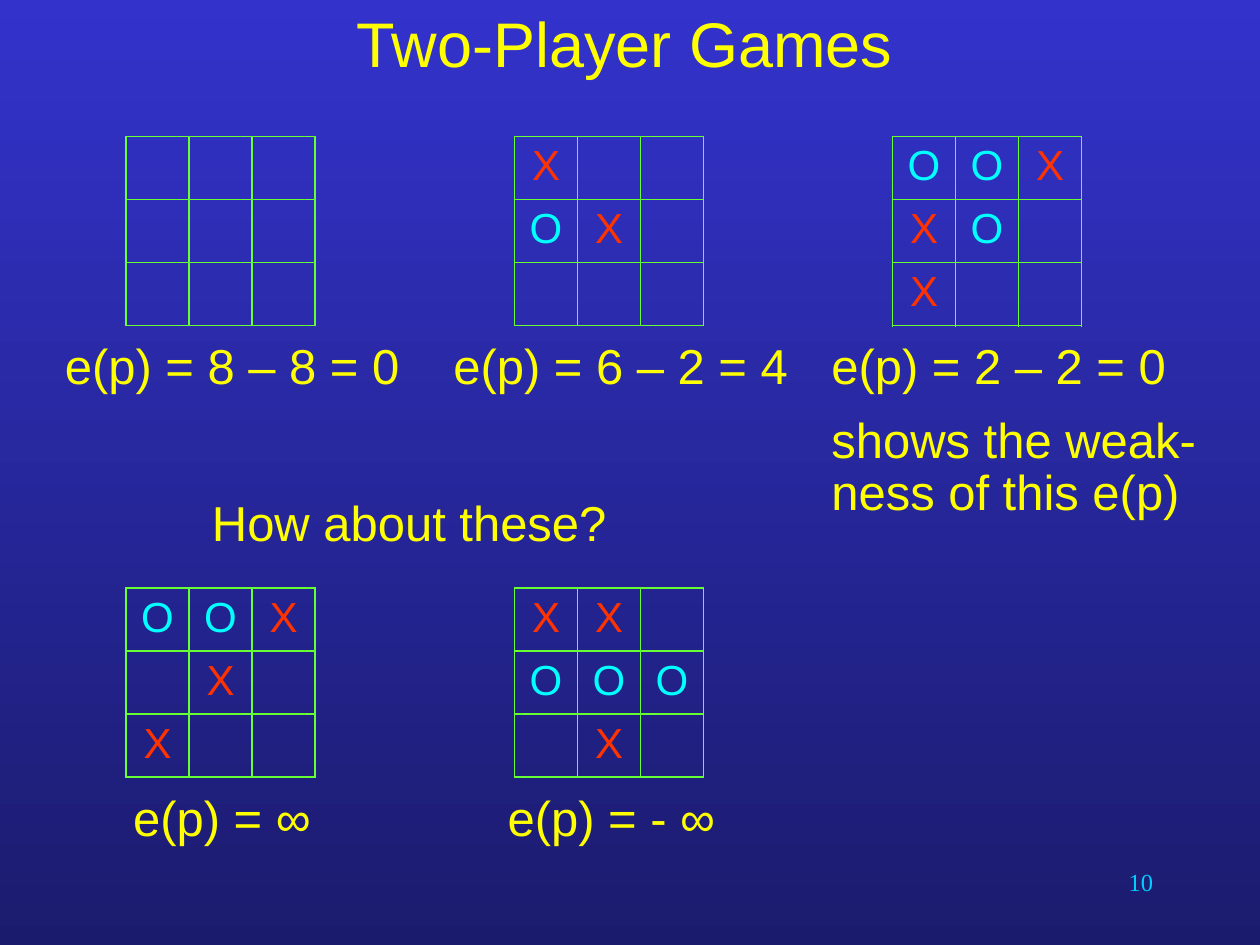
from typing import NamedTuple

from lxml import etree
from pptx import Presentation
from pptx.dml.color import RGBColor
from pptx.enum.text import MSO_ANCHOR, PP_ALIGN
from pptx.oxml.ns import qn
from pptx.util import Pt

LEFT, MID, RIGHT = PP_ALIGN.LEFT, PP_ALIGN.CENTER, PP_ALIGN.RIGHT
TOP, CENTER = MSO_ANCHOR.TOP, MSO_ANCHOR.MIDDLE

COLORS = {
    "sky": "3333CC",
    "night": "1B1B6E",
    "text": "FFFF00",
    "line": "66FF33",
    "X": "FF3300",
    "O": "00FFFF",
    "page": "00CCFF",
}
CELL = 36  # side of one square
EDGE = 1.08  # grid line width


class Box(NamedTuple):
    left: float
    top: float
    width: float
    height: float


class Board(NamedTuple):
    left: float
    top: float
    rows: tuple[str, str, str]  # a space is an empty square
    score: str
    indent: float = 0


COLS = (72, 294, 510)
ROWS = (78, 336)
BOARDS = (
    Board(COLS[0], ROWS[0], ("   ", "   ", "   "), "e(p) = 8 – 8 = 0"),
    Board(COLS[1], ROWS[0], ("X  ", "OX ", "   "), "e(p) = 6 – 2 = 4"),
    Board(COLS[2], ROWS[0], ("OOX", "XO ", "X  "), "e(p) = 2 – 2 = 0"),
    Board(COLS[0], ROWS[1], ("OOX", " X ", "X  "), "e(p) = ∞", 39),
    Board(COLS[1], ROWS[1], ("XX ", "OOO", " X "), "e(p) = - ∞", 31),
)


def rgb(name: str) -> RGBColor:
    return RGBColor.from_string(COLORS[name])


def put_text(frame, text: str, *, size: float = 28, color: str = "text",
             face: str = "Arial", align=LEFT, space: float = 1,
             after: float = 0, indent: float = 0) -> None:
    """Write one formatted paragraph into a text frame."""
    para = frame.paragraphs[0]
    para.alignment = align
    para.line_spacing = space
    para.space_after = Pt(after)
    if indent:
        para._p.get_or_add_pPr().set("marL", str(Pt(indent)))
    run = para.add_run()
    run.text = text
    run.font.size = Pt(size)
    run.font.name = face
    run.font.color.rgb = rgb(color)


def add_text(slide, box: Box, text: str, anchor=TOP, **style) -> None:
    frame = slide.shapes.add_textbox(*map(Pt, box)).text_frame
    frame.word_wrap = True
    frame.vertical_anchor = anchor
    put_text(frame, text, **style)


def add_note(slide, box: Box, text: str, indent: float = 0) -> None:
    add_text(slide, box, text, space=0.9, after=7, indent=indent)


def add_edges(cell) -> None:
    props = cell._tc.get_or_add_tcPr()
    for side in ("lnL", "lnR", "lnT", "lnB"):
        line = etree.SubElement(props, qn(f"a:{side}"), w=str(Pt(EDGE)))
        fill = etree.SubElement(line, qn("a:solidFill"))
        etree.SubElement(fill, qn("a:srgbClr"), val=COLORS["line"])


def add_board(slide, board: Board) -> None:
    side = Pt(3 * CELL)
    table = slide.shapes.add_table(
        3, 3, Pt(board.left), Pt(board.top), side, side).table
    table.first_row = table.horz_banding = False
    for part in (*table.columns,):
        part.width = Pt(CELL)
    for r, marks in enumerate(board.rows):
        table.rows[r].height = Pt(CELL)
        for c, mark in enumerate(marks):
            cell = table.cell(r, c)
            add_edges(cell)
            cell.fill.background()
            if mark != " ":
                put_text(cell.text_frame, mark, size=24, color=mark, align=MID)
    # Score under the board
    box = Box(board.left - 42, board.top + 114, 222, 42)
    add_note(slide, box, board.score, board.indent)


def main() -> None:
    deck = Presentation()
    deck.slide_width, deck.slide_height = Pt(720), Pt(540)
    slide = deck.slides.add_slide(deck.slide_layouts[6])

    # Background, dark at the foot
    fill = slide.background.fill
    fill.gradient()
    fill.gradient_angle = 270
    for stop, name, place in zip(fill.gradient_stops, ("sky", "night"), (0, 1)):
        stop.color.rgb = rgb(name)
        stop.position = place

    # Title
    add_text(slide, Box(18, 0, 678, 48), "Two-Player Games", CENTER,
             size=36, align=MID)

    # Boards with scores
    for board in BOARDS:
        add_board(slide, board)

    # Remarks
    add_note(slide, Box(468, 234, 228, 72), "shows the weak-ness of this e(p)")
    add_note(slide, Box(114, 282, 270, 42), "How about these?")

    # Page number
    add_text(slide, Box(516, 492, 150, 36), "10", size=14, color="page",
             face="Times New Roman", align=RIGHT)

    deck.save("out.pptx")


if __name__ == "__main__":
    main()
